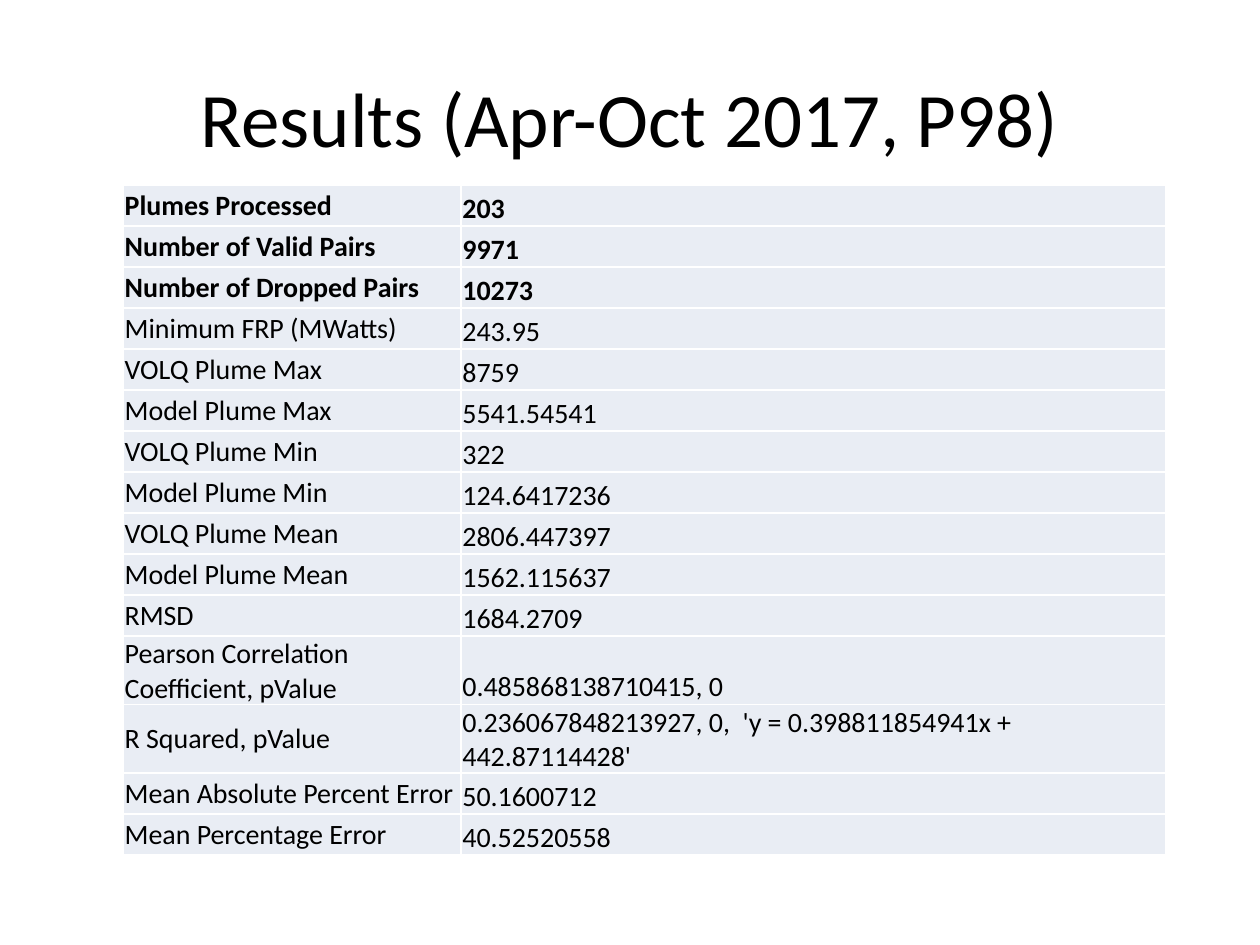
"""Build the plume results slide."""
from pptx import Presentation
from pptx.dml.color import RGBColor
from pptx.enum.text import MSO_ANCHOR, PP_ALIGN
from pptx.util import Inches, Pt

BLACK = RGBColor(0x00, 0x00, 0x00)
PALE_BLUE = RGBColor(0xE9, 0xED, 0xF4)
FONT = "Calibri"
SLIDE_W, SLIDE_H = Inches(10), Inches(7.5)
COLUMN_WIDTHS = (Inches(2.68), Inches(5.59))
TABLE_H = Inches(4.88)
ANCHORS = (MSO_ANCHOR.MIDDLE, MSO_ANCHOR.BOTTOM)
BOLD_ROWS = 3
RESULTS = [
    ("Plumes Processed", "203"),
    ("Number of Valid Pairs", "9971"),
    ("Number of Dropped Pairs", "10273"),
    ("Minimum FRP (MWatts)", "243.95"),
    ("VOLQ Plume Max", "8759"),
    ("Model Plume Max", "5541.54541"),
    ("VOLQ Plume Min", "322"),
    ("Model Plume Min", "124.6417236"),
    ("VOLQ Plume Mean", "2806.447397"),
    ("Model Plume Mean", "1562.115637"),
    ("RMSD", "1684.2709"),
    ("Pearson Correlation Coefficient, pValue", "0.485868138710415, 0"),
    ("R Squared, pValue",
     "0.236067848213927, 0,  'y = 0.398811854941x + 442.87114428'"),
    ("Mean Absolute Percent Error", "50.1600712"),
    ("Mean Percentage Error", "40.52520558"),
]


def write(paragraph, text, size, bold=False):
    run = paragraph.add_run()
    run.text = text
    run.font.name = FONT
    run.font.size = Pt(size)
    run.font.bold = bold
    run.font.color.rgb = BLACK


def add_title(slide, text):
    box = slide.shapes.add_textbox(
        int(SLIDE_W * 0.05), int(SLIDE_H * 0.04), int(SLIDE_W * 0.9), Inches(1.25))
    frame = box.text_frame
    frame.word_wrap = True
    frame.vertical_anchor = MSO_ANCHOR.MIDDLE
    frame.paragraphs[0].alignment = PP_ALIGN.CENTER
    write(frame.paragraphs[0], text, 44)


def fill_cell(cell, text, anchor, bold):
    cell.margin_left = cell.margin_right = cell.margin_top = Inches(0.01)
    cell.margin_bottom = 0
    cell.vertical_anchor = anchor
    cell.fill.solid()
    cell.fill.fore_color.rgb = PALE_BLUE
    write(cell.text_frame.paragraphs[0], text, 16, bold)


def add_results_table(slide, results):
    table = slide.shapes.add_table(
        len(results), len(COLUMN_WIDTHS), Inches(0.98), Inches(1.47),
        sum(COLUMN_WIDTHS), TABLE_H).table
    table.first_row = table.horz_banding = False
    for column, width in zip(table.columns, COLUMN_WIDTHS):
        column.width = width
    for r, values in enumerate(results):
        for c, text in enumerate(values):
            fill_cell(table.cell(r, c), text, ANCHORS[c], r < BOLD_ROWS)


def main():
    prs = Presentation()
    prs.slide_width, prs.slide_height = SLIDE_W, SLIDE_H
    slide = prs.slides.add_slide(prs.slide_layouts[6])
    add_title(slide, "Results (Apr-Oct 2017, P98)")
    add_results_table(slide, RESULTS)
    prs.save("out.pptx")


main()
